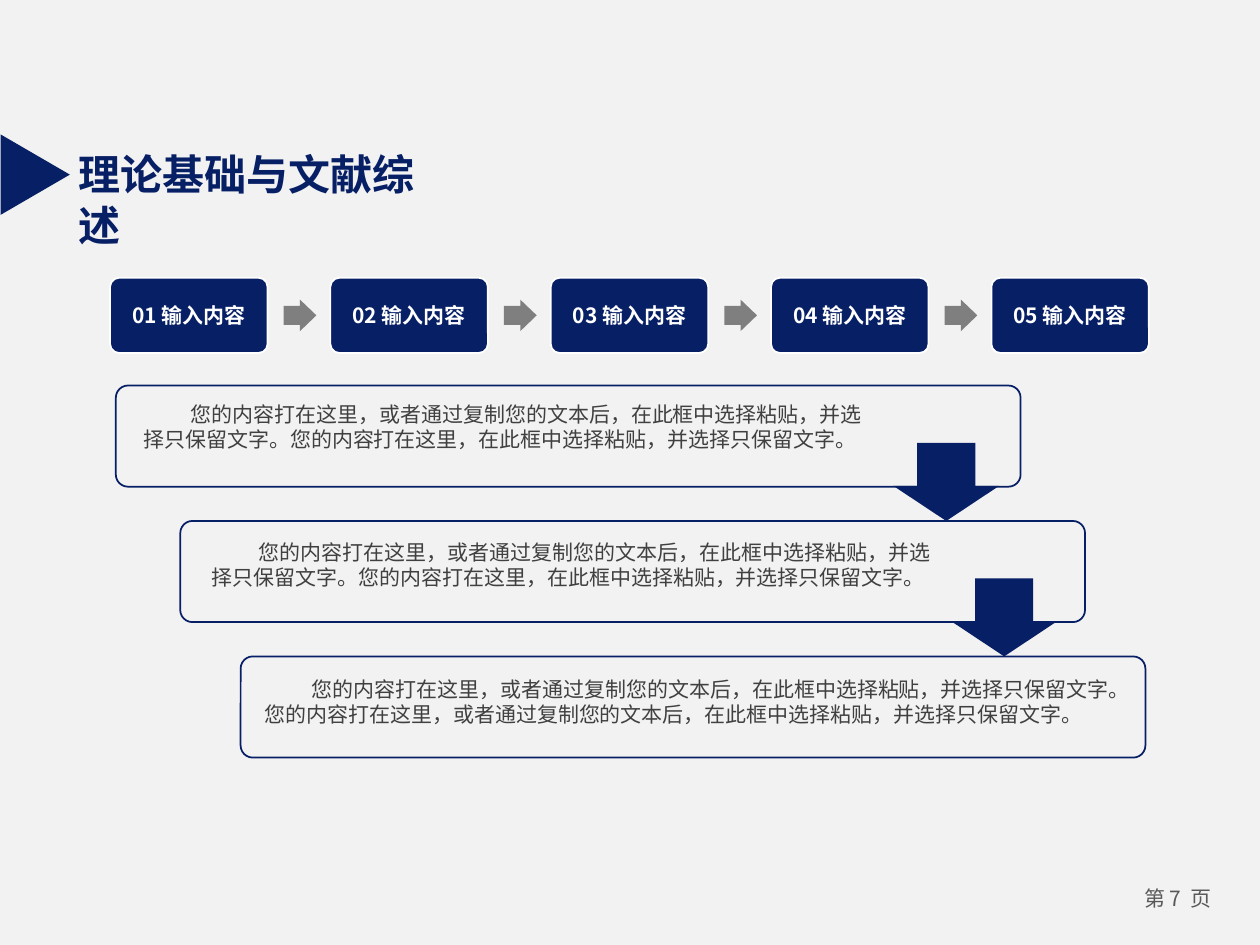
from pptx import Presentation
from pptx import util as u
from pptx.dml.color import RGBColor
from pptx.enum import shapes, text
from pptx.oxml.ns import qn

Pt = u.Pt
NAVY = RGBColor(0x07, 0x1F, 0x65)
PALE = RGBColor(0xF2, 0xF2, 0xF2)
WHITE = RGBColor(0xFF, 0xFF, 0xFF)
ARROW_GREY = RGBColor(0x7F, 0x7F, 0x7F)
BODY_GREY = RGBColor(0x40, 0x40, 0x40)
PAGE_GREY = RGBColor(0x59, 0x59, 0x59)
CJK = "Noto Sans CJK SC"
FORM = shapes.MSO_SHAPE

OPENING = "您的内容打在这里，或者通过复制您的文本后，在此框中选择粘贴，并选择只保留文字。"
SHORT = OPENING + "您的内容打在这里，在此框中选择粘贴，并选择只保留文字。"
PANELS = [
    (66.2, (8.6, 5.8, 427.7), SHORT),
    (103, (10.8, 7.2, 426.2), SHORT),
    (137.5, (6.5, 7.9, 501.1), OPENING * 2),
]


def write(frame, words, color, size=12, bold=False, latin=CJK,
          align=text.PP_ALIGN.LEFT, anchor=text.MSO_ANCHOR.TOP, insets=(7.2, 3.6)):
    across, down = (Pt(v) for v in insets)
    layout = {"word_wrap": True, "auto_size": text.MSO_AUTO_SIZE.NONE,
              "vertical_anchor": anchor, "margin_left": across,
              "margin_right": across, "margin_top": down, "margin_bottom": down}
    for key, value in layout.items():
        setattr(frame, key, value)
    paragraph = frame.paragraphs[0]
    paragraph.alignment = align
    run = paragraph.add_run()
    run.text = words
    for key, value in {"size": Pt(size), "bold": bold, "name": latin}.items():
        setattr(run.font, key, value)
    run.font.color.rgb = color
    east_asian = run.font._element.makeelement(qn("a:ea"), {"typeface": CJK})
    run.font._element.find(qn("a:latin")).addnext(east_asian)
    return paragraph


def add_form(slide, form, box, fill, line=None, adjust=()):
    part = slide.shapes.add_shape(form, *(Pt(v) for v in box))
    part.shadow.inherit = False
    part.fill.solid()
    part.fill.fore_color.rgb = fill
    if line is None:
        part.line.fill.background()
    else:
        part.line.color.rgb = line
        part.line.width = Pt(1)
    for index, value in enumerate(adjust):
        part.adjustments[index] = value
    return part


def add_heading(slide, left, top, width, height):
    heading = slide.shapes.title
    place = {"left": left, "top": top, "width": width, "height": height}
    for key, value in place.items():
        setattr(heading, key, Pt(value))
    write(heading.text_frame, "理论基础与文献综述", NAVY, 24, True, "Arial")
    marker = add_form(slide, FORM.ISOSCELES_TRIANGLE,
                      (left - 40.3, top - 1.4, 46, 39.6), NAVY)
    marker.rotation = 90


def add_steps(slide, left, top, width, height, count=5):
    step_width, arrow_width, arrow_height = 90, 18.7, 18
    pitch = (width - step_width) / (count - 1)
    for index in range(count):
        x = left + index * pitch
        step = add_form(slide, FORM.ROUNDED_RECTANGLE, (x, top, step_width, height),
                        NAVY, WHITE, (0.12,))
        write(step.text_frame, f"{index + 1:02d} 输入内容", WHITE, bold=True,
              align=text.PP_ALIGN.CENTER, anchor=text.MSO_ANCHOR.MIDDLE, insets=(3, 3))
        if index < count - 1:
            add_form(slide, FORM.RIGHT_ARROW,
                     (x + step_width + 9.2, top + (height - arrow_height) / 2,
                      arrow_width, arrow_height), ARROW_GREY, adjust=(0.6, 0.52))


def add_panel(slide, left, top, width, height, text_area, words):
    add_form(slide, FORM.ROUNDED_RECTANGLE, (left, top, width, height),
             PALE, NAVY, (0.12,))
    dx, dy, text_width = text_area
    area = slide.shapes.add_textbox(Pt(left + dx), Pt(top + dy), Pt(text_width), Pt(36.4))
    paragraph = write(area.text_frame, words, BODY_GREY)
    paragraph._p.get_or_add_pPr().set("indent", str(Pt(27)))


def add_cascade(slide, top, width, height, pitch):
    for index, (left, text_area, words) in enumerate(PANELS):
        add_panel(slide, left, top + index * pitch, width, height, text_area, words)
    arrow_height = 44.6
    for index in range(len(PANELS) - 1):
        next_top = top + (index + 1) * pitch
        add_form(slide, FORM.DOWN_ARROW,
                 (510.5 + index * 33.1, next_top - arrow_height, 60.5, arrow_height),
                 NAVY, adjust=(0.55, 0.45))


def add_page_number(slide, left, top, width, height):
    page = slide.shapes.add_textbox(Pt(left), Pt(top), Pt(width), Pt(height))
    write(page.text_frame, "第 7  页", PAGE_GREY, align=text.PP_ALIGN.CENTER,
          anchor=text.MSO_ANCHOR.MIDDLE, insets=(5, 2.9))


def main():
    deck = Presentation()
    deck.slide_width, deck.slide_height = Pt(720), Pt(540)
    slide = deck.slides.add_slide(deck.slide_layouts[5])
    slide.background.fill.solid()
    slide.background.fill.fore_color.rgb = PALE
    add_page_number(slide, 640.8, 498.6, 64.8, 28.8)
    add_cascade(slide, 220.3, 517, 57.8, 77.4)
    add_steps(slide, 62.9, 158.7, 593.6, 43)
    add_heading(slide, 37.4, 81.4, 230, 36)
    deck.save("out.pptx")


if __name__ == "__main__":
    main()
